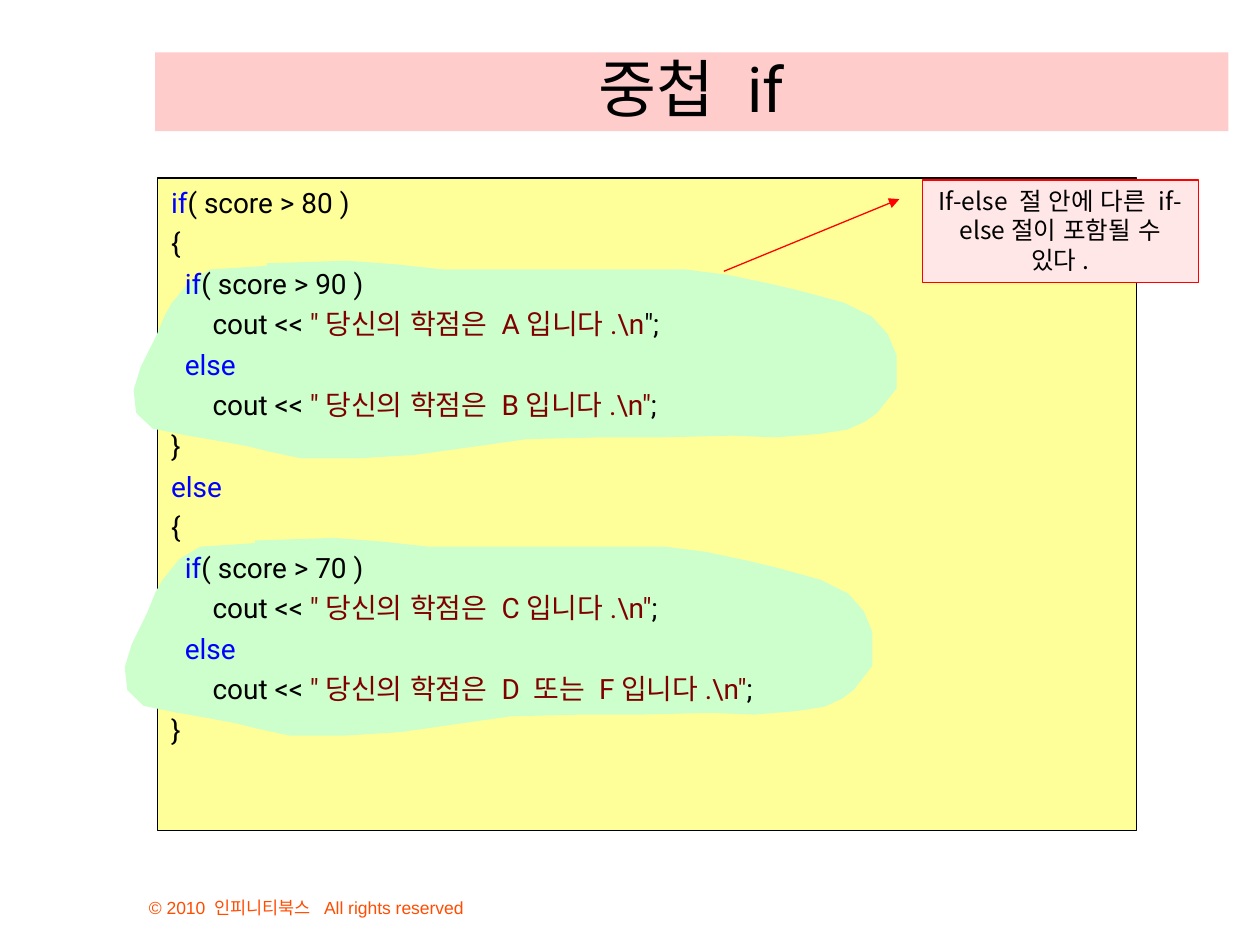
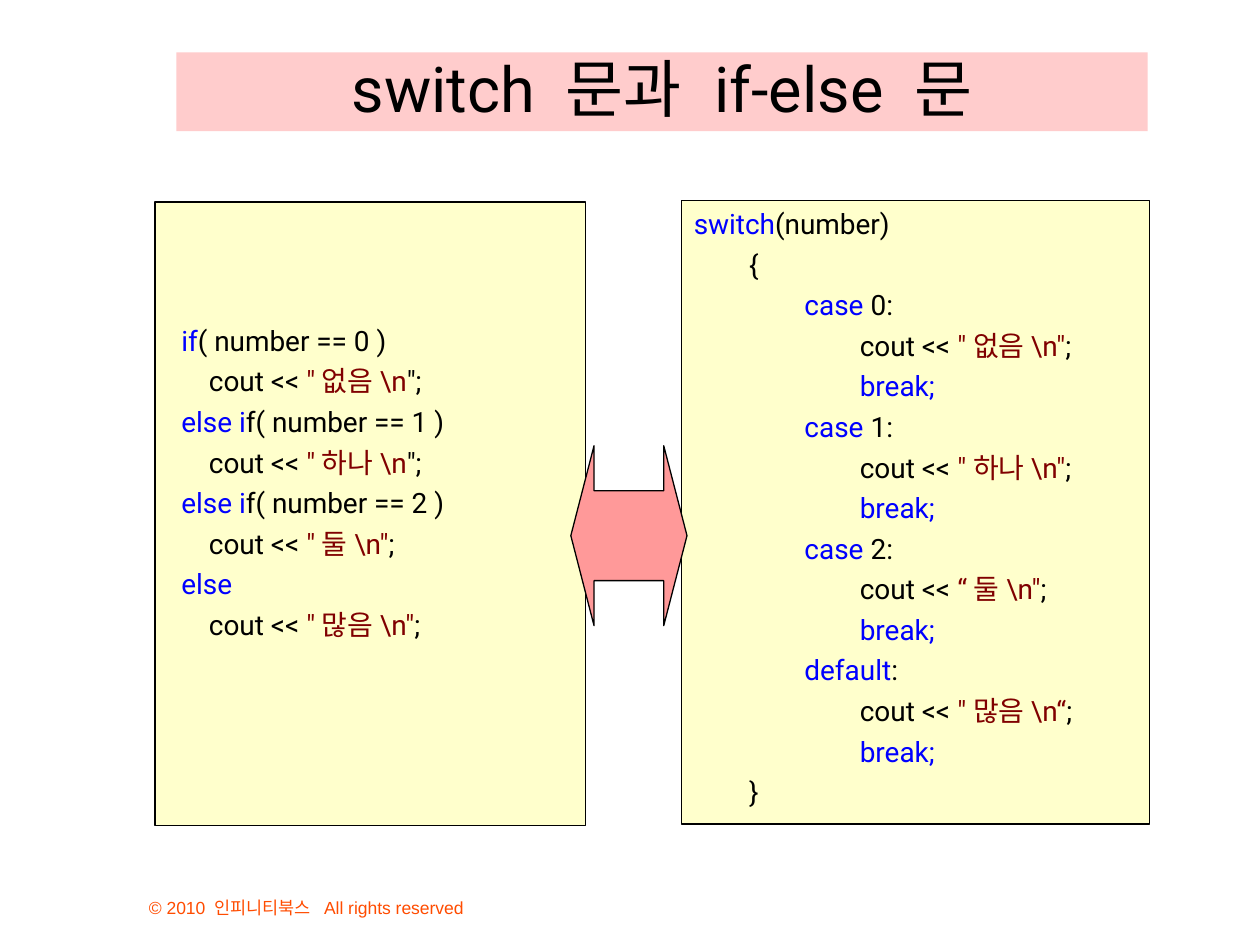
"""Build two slides on nested if and on switch against if-else."""
import lxml.etree
import pptx
import pptx.dml.color
import pptx.enum.shapes
import pptx.enum.text
import pptx.oxml.ns
import pptx.util

Pt = pptx.util.Pt
KIND = pptx.enum.shapes.MSO_SHAPE
ALIGN = pptx.enum.text.PP_ALIGN
ANCHOR = pptx.enum.text.MSO_ANCHOR
qn = pptx.oxml.ns.qn

BLACK, BLUE, MAROON, RED = "000000", "0000FF", "800000", "FF0000"
PINK, ROSE, BLUSH, ORANGE = "FFCCCC", "FF9999", "FFE7E7", "FF4C00"
YELLOW, CREAM, MINT = "FFFF99", "FFFFCC", "CCFFCC"
LATIN, HANGUL, PLAIN = "Roboto", "Noto Sans CJK KR", "Arial"
INKS = BLUE, BLACK, MAROON, BLACK
INSET = 7.2, 3.6, 7.2, 3.6
LEADING = 1.2

FOOTER = "© 2010 인피니티북스  All rights reserved"
NOTE = "If-else 절 안에 다른 if-else절이 포함될 수 있다."

NESTED = [
    (0, "if", "( score > 80 )"),
    (0, "", "{"),
    (2, "if", "( score > 90 )"),
    (6, "", "cout << ", '"당신의 학점은 A입니다.\\n', '";'),
    (2, "else"),
    (6, "", "cout << ", '"당신의 학점은 B입니다.\\n"', ";"),
    (0, "", "}"),
    (0, "else"),
    (0, "", "{"),
    (2, "if", "( score > 70 )"),
    (6, "", "cout << ", '"당신의 학점은 C입니다.\\n"', ";"),
    (2, "else"),
    (6, "", "cout << ", '"당신의 학점은 D 또는 F입니다.\\n"', ";"),
    (0, "", "}"),
]
CHAIN = [
    (2, "if", "( number == 0 )"),
    (6, "", "cout << ", '"없음\\n', '";'),
    (2, "else i", "f( number == 1 )"),
    (6, "", "cout << ", '"하나\\n', '";'),
    (2, "else i", "f( number == 2 )"),
    (6, "", "cout << ", '"둘\\n"', ";"),
    (2, "else"),
    (6, "", "cout << ", '"많음\\n"', ";"),
]
CASES = [
    ("case", " 0:", '"없음\\n"'),
    ("case", " 1:", '"하나\\n"'),
    ("case", " 2:", '“둘\\n"'),
    ("default", ":", '"많음\\n“'),
]
SWITCH = [(0, "switch", "(number)"), (8, "", "{")]
for word, tail, quote in CASES:
    SWITCH += [(16, word, tail), (24, "", "cout << ", quote, ";"),
               (24, "break;")]
SWITCH.append((8, "", "}"))

BLOB = [
    (76, 3), (44, 5), (32, 12), (22, 24), (18, 31), (13, 43), (4, 61),
    (0, 74), (1.5, 87), (11, 96), (31, 100), (43, 102), (65, 106),
    (77, 109), (96, 113), (128, 113), (161, 111), (225, 102),
    (267, 101), (301, 101), (342, 100), (367, 101), (392, 99),
    (408, 96.5), (418, 92), (425, 87), (436, 73), (436, 54), (431, 42),
    (422, 32), (406, 24), (380, 17), (363, 13), (339, 8), (315, 5),
    (177, 5), (149, 2), (122, 0), (76, 1.5),
]
BLOBS = [(76.3, 149, 1), (71.3, 307.4, 0.98)]


def color(code):
    """Turn a hex string into a colour."""
    return pptx.dml.color.RGBColor.from_string(code)


def paint(shape, fill, line=None):
    """Set the fill and outline and drop the shadow."""
    shape.shadow.inherit = False
    shape.fill.solid()
    shape.fill.fore_color.rgb = color(fill)
    if line:
        shape.line.color.rgb = color(line)
        shape.line.width = Pt(0.75)
    else:
        shape.line.fill.background()


def block(slide, kind, at, fill, line=BLACK):
    """Add a filled preset shape."""
    shape = slide.shapes.add_shape(kind, *map(Pt, at))
    paint(shape, fill, line)
    return shape


def frame(shape, anchor=ANCHOR.TOP, inset=INSET):
    """Prepare the text frame of a shape."""
    text = shape.text_frame
    text.word_wrap = True
    text.auto_size = pptx.enum.text.MSO_AUTO_SIZE.NONE
    text.vertical_anchor = anchor
    (text.margin_left, text.margin_top,
     text.margin_right, text.margin_bottom) = map(Pt, inset)
    return text


def style(run, size, face, ink):
    """Format one run for both scripts."""
    run.font.size = Pt(size)
    run.font.name = face
    run.font.color.rgb = color(ink)
    props = run._r.get_or_add_rPr()
    lxml.etree.SubElement(props, qn("a:ea")).set("typeface", PLAIN)


def label(text, words, size, face, ink=BLACK, align=ALIGN.CENTER):
    """Write a single paragraph."""
    text.text = words
    para = text.paragraphs[0]
    para.alignment = align
    para.line_spacing = Pt(size * LEADING)
    for run in para.runs:
        style(run, size, face, ink)


def code(shape, lines, top=3.6):
    """Write lines of indent, keyword, plain, string and closing text."""
    text = frame(shape, inset=(7.2, top, 7.2, 3.6))
    for row, (pad, *parts) in enumerate(lines):
        para = text.add_paragraph() if row else text.paragraphs[0]
        para.alignment = ALIGN.LEFT
        para.line_spacing = Pt(16 * LEADING)
        para.space_before = Pt(4 if row else 0)
        lead = " " * pad
        for part, ink in zip(parts, INKS):
            if part:
                run = para.add_run()
                run.text = lead + part
                style(run, 16, LATIN, ink)
                lead = ""


def start(deck, words, left, width):
    """Add a slide with its title band and footer."""
    slide = deck.slides.add_slide(deck.slide_layouts[5])
    title = slide.shapes.title
    title.left, title.top, title.width, title.height = map(
        Pt, (left, 30, width, 45))
    title.fill.solid()
    title.fill.fore_color.rgb = color(PINK)
    label(frame(title, ANCHOR.BOTTOM, (7.2, 0, 7.2, 3.6)), words, 36, LATIN)
    foot = slide.shapes.add_textbox(*map(Pt, (78, 498, 276, 30)))
    label(frame(foot, ANCHOR.BOTTOM), FOOTER, 10, PLAIN, ORANGE, ALIGN.LEFT)
    return slide


def blob(slide, left, top, scale):
    """Draw the soft patch behind an inner if-else."""
    spots = [(Pt(left + x * scale), Pt(top + y)) for x, y in BLOB]
    pen = slide.shapes.build_freeform(*spots[0])
    pen.add_line_segments(spots[1:], close=True)
    paint(pen.convert_to_shape(), MINT)


def nested(deck):
    """Build the nested if slide."""
    slide = start(deck, "중첩 if", 88.6, 613.4)
    block(slide, KIND.RECTANGLE, (90, 101.8, 559.4, 372.6), YELLOW)
    for place in BLOBS:
        blob(slide, *place)
    code(slide.shapes.add_textbox(*map(Pt, (90.7, 102.2, 559.4, 373))),
         NESTED)
    note = block(slide, KIND.LINE_CALLOUT_1, (527, 102.8, 157.7, 58.5),
                 BLUSH, RED)
    for spot, value in enumerate((0.188, -0.083, 0.893, -0.719)):
        note.adjustments[spot] = value
    line = note.line._get_or_add_ln()
    lxml.etree.SubElement(line, qn("a:headEnd")).set("type", "triangle")
    label(frame(note), NOTE, 14, HANGUL)


def compare(deck):
    """Build the slide that sets if-else beside switch."""
    slide = start(deck, "switch 문과 if-else 문", 100.8, 555)
    left = block(slide, KIND.RECTANGLE, (88.6, 115.4, 246.2, 356.4), CREAM)
    code(left, CHAIN, 69.4)
    right = block(slide, KIND.RECTANGLE, (389.4, 114.5, 267.6, 356.4), CREAM)
    code(right, SWITCH)
    arrow = block(slide, KIND.LEFT_RIGHT_ARROW, (326.2, 254.7, 66.4, 102.8),
                  ROSE)
    arrow.adjustments[0] = 0.5
    arrow.adjustments[1] = 0.2


def main():
    """Build and save the deck."""
    deck = pptx.Presentation()
    deck.slide_width, deck.slide_height = Pt(720), Pt(540)
    nested(deck)
    compare(deck)
    deck.save("out.pptx")


if __name__ == "__main__":
    main()
